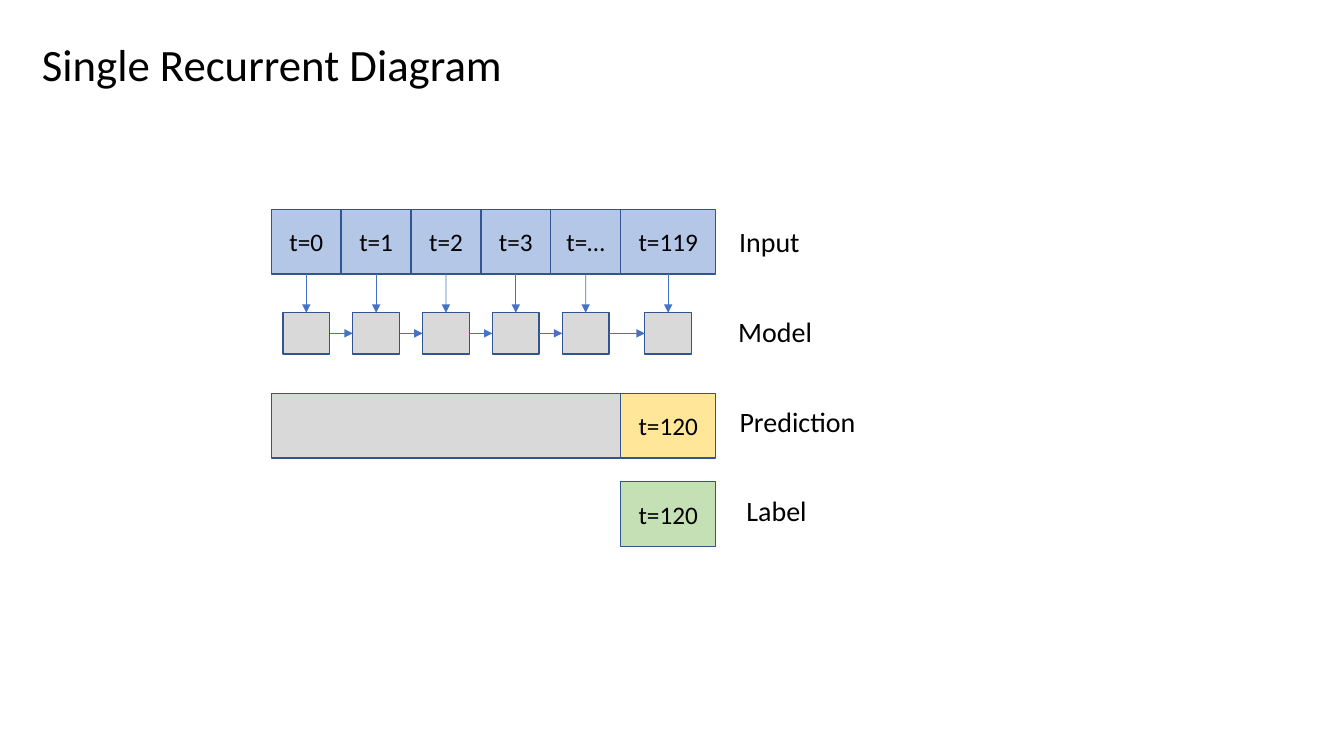
from dataclasses import dataclass
from itertools import pairwise

from pptx import Presentation
from pptx.dml.color import RGBColor
from pptx.enum.shapes import MSO_CONNECTOR, MSO_SHAPE
from pptx.enum.text import MSO_ANCHOR, MSO_AUTO_SIZE, PP_ALIGN
from pptx.oxml.ns import qn
from pptx.shapes.autoshape import Shape
from pptx.text.text import TextFrame
from pptx.util import Cm, Pt
from lxml.etree import SubElement


@dataclass(frozen=True)
class Theme:
    font: str = "Calibri"
    text: str = "000000"
    outline: str = "325491"
    arrow: str = "4472C4"
    input: str = "B4C7E7"
    neutral: str = "D9D9D9"
    prediction: str = "FFE699"
    label: str = "C5E0B4"
    title_size: int = 32
    caption_size: int = 20
    step_size: int = 18


@dataclass(frozen=True)
class Box:
    """A block of the diagram, in centimetres."""
    left: float
    top: float
    width: float
    height: float
    fill: str
    text: str = ""


@dataclass(frozen=True)
class Caption:
    """A free line of text, in centimetres."""
    text: str
    left: float
    top: float
    width: float
    height: float
    size: int


THEME = Theme()

prs = Presentation()
prs.slide_width, prs.slide_height = Cm(33.87), Cm(19.05)
slide = prs.slides.add_slide(prs.slide_layouts[6])


def write(frame: TextFrame, text: str, size: int) -> None:
    paragraph = frame.paragraphs[0]
    paragraph.text = text
    paragraph.alignment = PP_ALIGN.CENTER
    paragraph.font.name = THEME.font
    paragraph.font.size = Pt(size)
    paragraph.font.color.rgb = RGBColor.from_string(THEME.text)


def draw_box(box: Box) -> Shape:
    shape = slide.shapes.add_shape(
        MSO_SHAPE.RECTANGLE, Cm(box.left), Cm(box.top), Cm(box.width), Cm(box.height))
    shape.shadow.inherit = False
    shape.fill.solid()
    shape.fill.fore_color.rgb = RGBColor.from_string(box.fill)
    shape.line.color.rgb = RGBColor.from_string(THEME.outline)
    shape.line.width = Pt(1)
    if box.text:
        shape.text_frame.vertical_anchor = MSO_ANCHOR.MIDDLE
        write(shape.text_frame, box.text, THEME.step_size)
    return shape


def draw_caption(caption: Caption) -> None:
    frame = slide.shapes.add_textbox(
        Cm(caption.left), Cm(caption.top), Cm(caption.width), Cm(caption.height)).text_frame
    frame.word_wrap = False
    frame.auto_size = MSO_AUTO_SIZE.SHAPE_TO_FIT_TEXT
    write(frame, caption.text, caption.size)


def draw_arrow(source: Shape, source_site: int, target: Shape, target_site: int) -> None:
    arrow = slide.shapes.add_connector(MSO_CONNECTOR.STRAIGHT, 0, 0, 0, 0)
    arrow.begin_connect(source, source_site)
    arrow.end_connect(target, target_site)
    arrow.line.color.rgb = RGBColor.from_string(THEME.arrow)
    arrow.line.width = Pt(0.5)
    SubElement(arrow.line._get_or_add_ln(), qn("a:tailEnd"), type="triangle")
    SubElement(arrow._element.spPr, qn("a:effectLst"))


# Connection sites of a rectangle
TOP, LEFT, BOTTOM, RIGHT = range(4)

# Grid of the diagram
STEPS = ["t=0", "t=1", "t=2", "t=3", "t=…", "t=119"]
GRID_LEFT, STEP_WIDTH, LAST_WIDTH, ROW_HEIGHT = 6.84, 1.76, 2.4, 1.63
INPUT_TOP, MODEL_TOP, PREDICTION_TOP, LABEL_TOP = 5.28, 7.88, 9.91, 12.14
CELL_WIDTH, CELL_HEIGHT = 1.18, 1.04
HISTORY_WIDTH = STEP_WIDTH * (len(STEPS) - 1)
LAST_LEFT = GRID_LEFT + HISTORY_WIDTH

# Title
draw_caption(Caption("Single Recurrent Diagram", 0.74, 0.81, 12.24, 1.63, THEME.title_size))

# Input steps, each feeding the model cell centred below it
cells: list[Shape] = []
for index, step in enumerate(STEPS):
    left = GRID_LEFT + index * STEP_WIDTH
    width = LAST_WIDTH if step == STEPS[-1] else STEP_WIDTH
    input_step = draw_box(Box(left, INPUT_TOP, width, ROW_HEIGHT, THEME.input, step))
    cell = draw_box(Box(left + (width - CELL_WIDTH) / 2, MODEL_TOP,
                        CELL_WIDTH, CELL_HEIGHT, THEME.neutral))
    draw_arrow(input_step, BOTTOM, cell, TOP)
    cells.append(cell)

# State passed from cell to cell
for earlier, later in pairwise(cells):
    draw_arrow(earlier, RIGHT, later, LEFT)

# Prediction and label rows
for outcome in (
    Box(GRID_LEFT, PREDICTION_TOP, HISTORY_WIDTH, ROW_HEIGHT, THEME.neutral),
    Box(LAST_LEFT, PREDICTION_TOP, LAST_WIDTH, ROW_HEIGHT, THEME.prediction, "t=120"),
    Box(LAST_LEFT, LABEL_TOP, LAST_WIDTH, ROW_HEIGHT, THEME.label, "t=120"),
):
    draw_box(outcome)

# Row captions at an equal pitch
CAPTION_TOP, CAPTION_PITCH, CAPTION_HEIGHT = 5.54, 2.26, 1.11
ROW_CAPTIONS = [("Input", 18.36, 2.06), ("Model", 18.34, 2.39),
                ("Prediction", 18.36, 3.48), ("Label", 18.54, 2.06)]
for row, (name, left, width) in enumerate(ROW_CAPTIONS):
    draw_caption(Caption(name, left, CAPTION_TOP + row * CAPTION_PITCH,
                         width, CAPTION_HEIGHT, THEME.caption_size))

prs.save("out.pptx")
